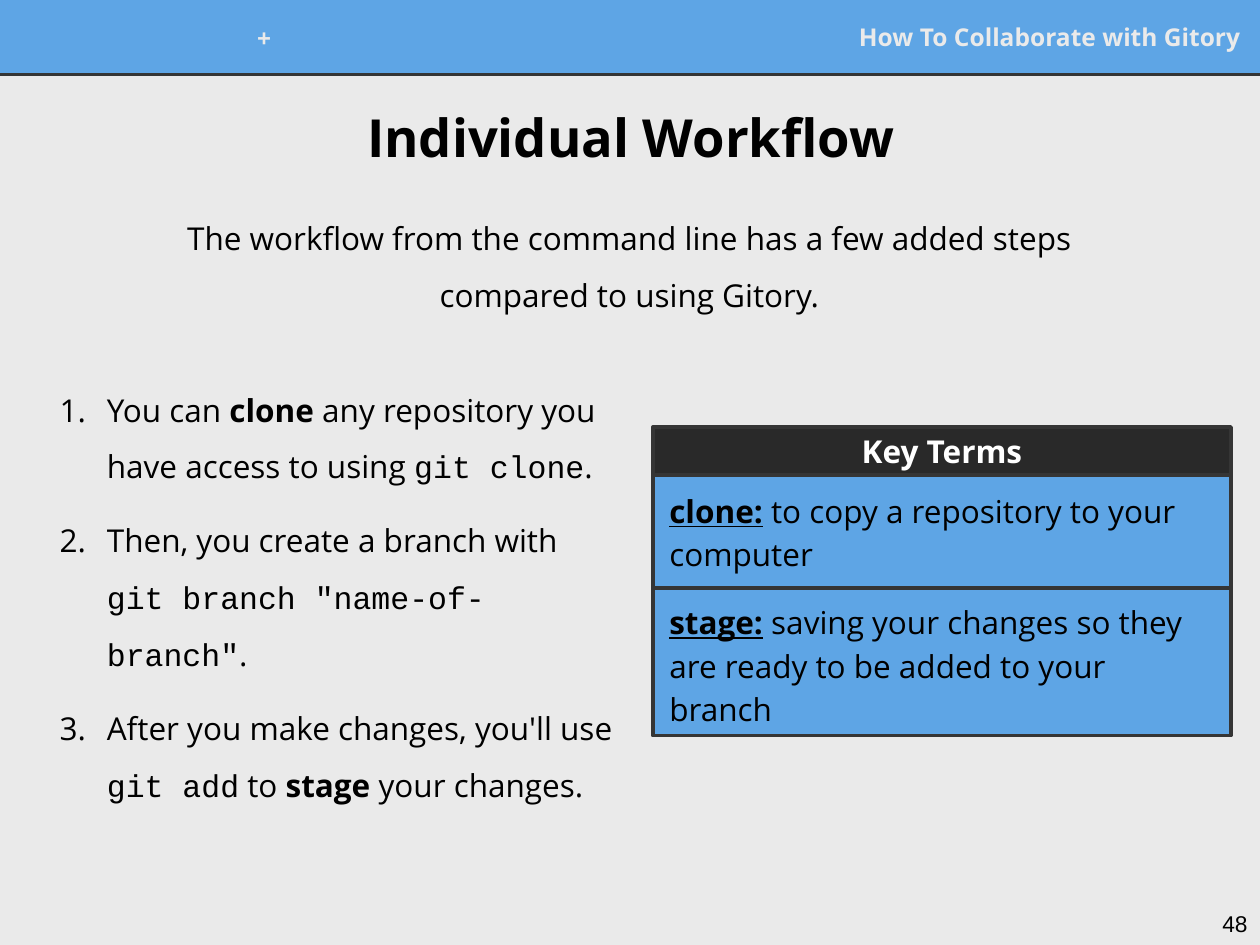
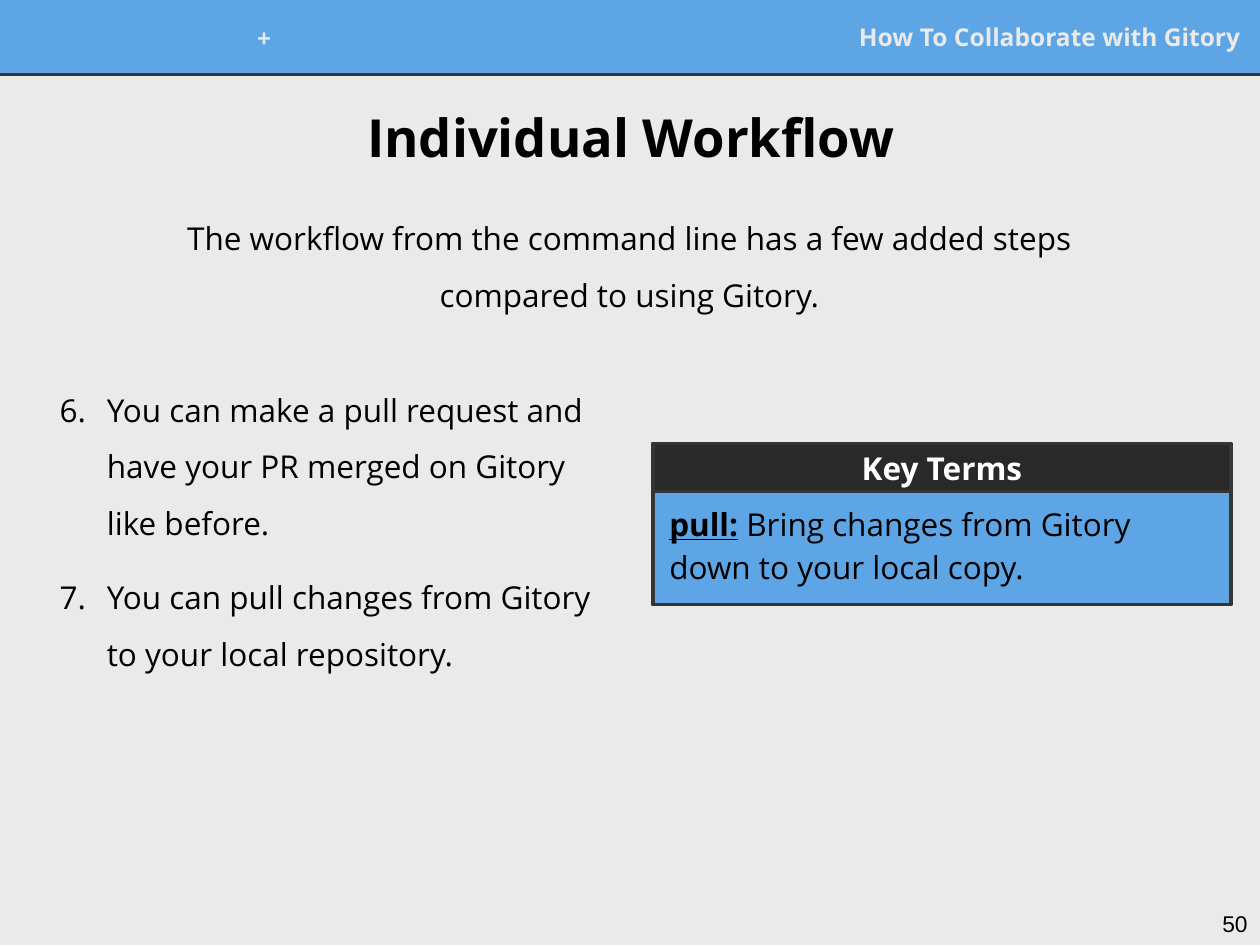
"""Builds two slides on working alone from the command line."""
import pptx
import pptx.dml.color
import pptx.enum.shapes
import pptx.enum.text
import pptx.oxml
import pptx.oxml.ns
import pptx.util
from lxml import etree

Pt = pptx.util.Pt
Align = pptx.enum.text.PP_ALIGN
Anchor = pptx.enum.text.MSO_ANCHOR
qn = pptx.oxml.ns.qn

BLUE, GREY, DARK, COAL = "5EA5E5", "EAEAEA", "353535", "292929"
BLACK, WHITE = "000000", "FFFFFF"
BODY = {"name": "Open Sans", "size": Pt(18), "bold": False}
BOLD = {**BODY, "bold": True}
TERM = {**BOLD, "underline": True}
CODE = {**BODY, "name": "Courier New"}
TITLE = {**BOLD, "size": Pt(30)}
BAND = {**BOLD, "size": Pt(14)}
PAGE = {"name": "Arial", "size": Pt(13)}
STEP = {"line_spacing": 1.5}
NOTE = {"line_spacing": 1.15, "space_after": Pt(10)}
CENTER = {"alignment": Align.CENTER}
RIGHT = {"alignment": Align.RIGHT}
LEAD = "The workflow from the command line has a few added steps compared to using Gitory."


def shade(code):
    return pptx.dml.color.RGBColor.from_string(code)


def apply(item, values):
    for name, value in values.items():
        setattr(item, name, value)


class Deck:
    """Holds the deck style and the current slide."""

    def __init__(self):
        self.deck = pptx.Presentation()
        apply(self.deck, {"slide_width": Pt(720), "slide_height": Pt(540)})

    def start(self, page):
        self.slide = self.deck.slides.add_slide(self.deck.slide_layouts[6])
        self.shapes = self.slide.shapes
        fill = self.slide.background.fill
        fill.solid()
        fill.fore_color.rgb = shade(GREY)
        self.box((0, 0, 720, 42.5), BLUE, BLUE, 0.75)
        self.rule(42.5)
        self.text((326, 7.2, 390, 27.4), "How To Collaborate with Gitory", BAND, RIGHT, GREY)
        self.text((139, 7.9, 23, 27.4), "+", BAND, RIGHT, GREY)
        self.text((676.8, 512.6, 43.2, 27.4), page, PAGE, RIGHT, anchor=Anchor.TOP)
        self.text((13, 45.4, 695, 64.8), "Individual Workflow", TITLE, CENTER)
        self.text((81.4, 116.6, 556.6, 60.5), LEAD, BODY, {**CENTER, **STEP})

    def box(self, area, fill, edge=DARK, width=2):
        kind = pptx.enum.shapes.MSO_SHAPE.RECTANGLE
        shape = self.shapes.add_shape(kind, *map(Pt, area))
        shape.shadow.inherit = False
        shape.fill.solid()
        shape.fill.fore_color.rgb = shade(fill)
        shape.line.color.rgb = shade(edge)
        shape.line.width = Pt(width)
        return shape

    def rule(self, top):
        kind = pptx.enum.shapes.MSO_CONNECTOR.STRAIGHT
        line = self.shapes.add_connector(kind, 0, Pt(top), Pt(720), Pt(top))
        line.line.color.rgb = shade(DARK)
        line.line.width = Pt(1.5)
        etree.SubElement(line._element.spPr, qn("a:effectLst"))

    def frame(self, shape, pad, anchor):
        frame = shape.text_frame
        sides = ("left", "right", "top", "bottom")
        apply(frame, {f"margin_{side}": Pt(pad) for side in sides})
        apply(frame, {"word_wrap": True, "vertical_anchor": anchor})
        return frame

    def put(self, par, runs, form, color=BLACK):
        apply(par, form)
        for words, style in runs:
            run = par.add_run()
            run.text = words
            apply(run.font, style)
            run.font.color.rgb = shade(color)

    def text(self, area, words, style, form, color=BLACK, anchor=Anchor.MIDDLE):
        shape = self.shapes.add_textbox(*map(Pt, area))
        frame = self.frame(shape, 7.2, anchor)
        self.put(frame.paragraphs[0], [(words, style)], form, color)

    def steps(self, items, first=1):
        shape = self.shapes.add_textbox(Pt(18), Pt(205.2), Pt(340.6), Pt(321))
        frame = self.frame(shape, 7.2, Anchor.TOP)
        for index, runs in enumerate(items):
            par = frame.add_paragraph() if index else frame.paragraphs[0]
            props = par._p.get_or_add_pPr()
            props.set("marL", str(Pt(36)))
            props.set("indent", str(Pt(-27)))
            tint = etree.SubElement(props, qn("a:buClr"))
            etree.SubElement(tint, qn("a:srgbClr"), val=BLACK)
            etree.SubElement(props, qn("a:buAutoNum"), type="arabicPeriod", startAt=str(first))
            gap = {"space_before": Pt(10)} if index else {}
            self.put(par, runs, {**STEP, **gap})

    def terms(self, top, rows):
        left, width, head = 373, 330.5, 27.4
        bar = self.box((left, top, width, head), COAL)
        frame = self.frame(bar, 4.5, Anchor.MIDDLE)
        self.put(frame.paragraphs[0], [("Key Terms", BOLD)], CENTER, WHITE)
        top += head
        for word, sense, height, drop in rows:
            self.box((left, top, width, height), BLUE)
            area = (left + 5, top + drop, width - 9.5, height - 8)
            note = self.frame(self.shapes.add_textbox(*map(Pt, area)), 4.5, Anchor.TOP)
            self.put(note.paragraphs[0], [(word, TERM), (" " + sense, BODY)], NOTE)
            top += height


def main():
    deck = Deck()
    deck.start("48")
    deck.steps([
        [("You can ", BODY), ("clone", BOLD),
         (" any repository you have access to using ", BODY),
         ("git clone", CODE), (".", BODY)],
        [("Then, you create a branch with ", BODY),
         ('git branch "name-of-branch"', CODE), (".", BODY)],
        [("After you make changes, you'll use ", BODY), ("git add", CODE),
         (" to ", BODY), ("stage", BOLD), (" your changes.", BODY)],
    ])
    deck.terms(244, [
        ("clone:", "to copy a repository to your computer", 64.8, 2),
        ("stage:", "saving your changes so they are ready to be added to your branch", 84.2, 0.7),
    ])

    deck.start("50")
    deck.steps([
        [("You can make a pull request and have your PR merged on Gitory like before.", BODY)],
        [("You can pull changes from Gitory to your local repository.", BODY)],
    ], 6)
    deck.terms(253.4, [
        ("pull:", "Bring changes from Gitory down to your local copy.", 64.8, 0),
    ])
    deck.deck.save("out.pptx")


if __name__ == "__main__":
    main()
